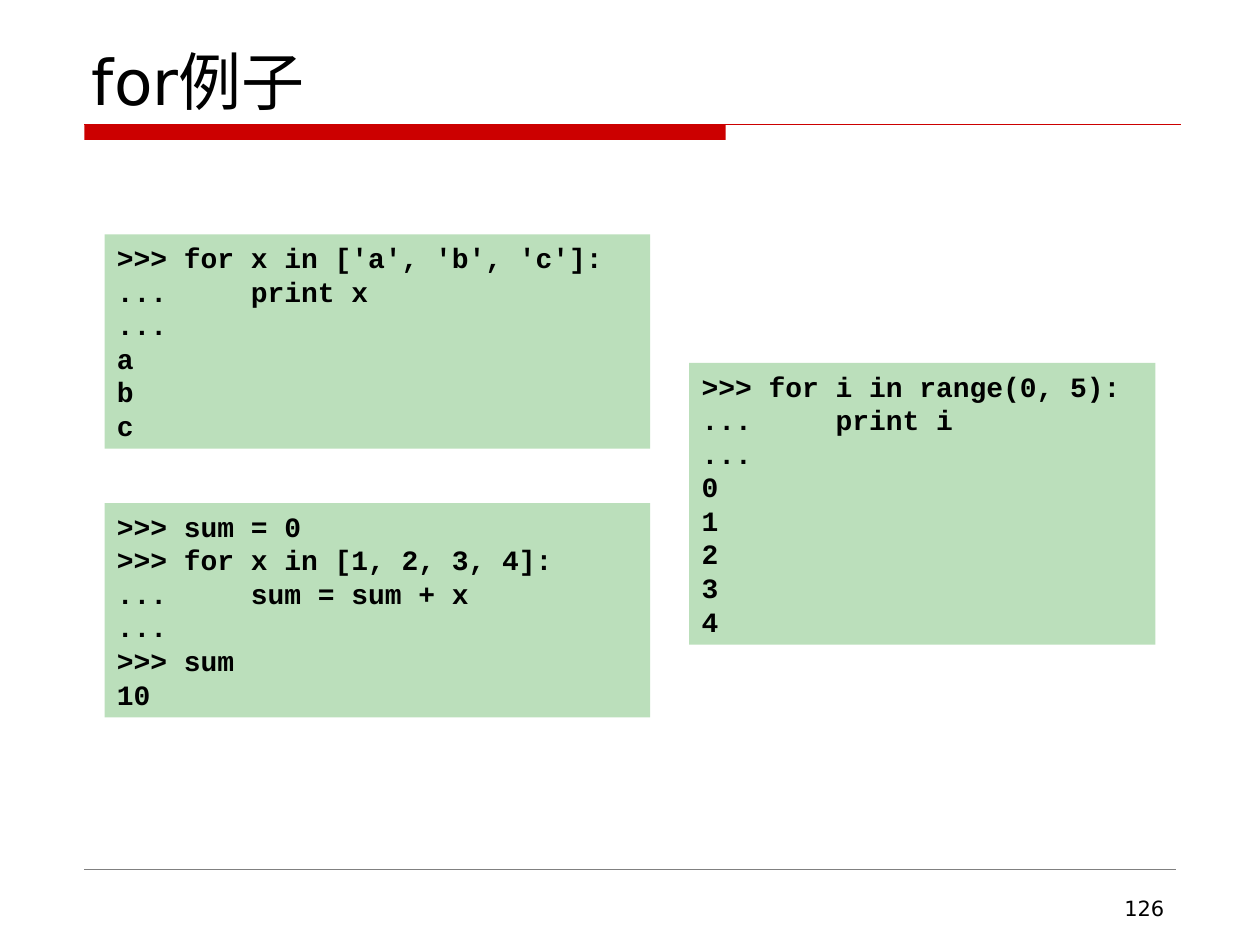
import pptx
import pptx.dml.color
import pptx.enum.shapes
import pptx.enum.text
import pptx.oxml
import pptx.oxml.ns
import pptx.util
from dataclasses import dataclass

Inches = pptx.util.Inches
Align = pptx.enum.text.PP_ALIGN
Anchor = pptx.enum.text.MSO_ANCHOR
AutoSize = pptx.enum.text.MSO_AUTO_SIZE


@dataclass(frozen=True)
class Theme:
    accent: str = "CC0000"
    panel: str = "BBDFBB"
    rule: str = "808080"
    text: str = "000000"
    body_font: str = "DejaVu Sans"
    code_font: str = "Courier New"
    title_size: int = 36
    code_size: int = 16
    number_size: int = 12


THEME = Theme()
TITLE = "for例子"
PAGE_NUMBER = "126"
LEFT_EXAMPLES = [
    [
        ">>> for x in ['a', 'b', 'c']:",
        "...     print x",
        "...",
        "a",
        "b",
        "c",
    ],
    [
        ">>> sum = 0",
        ">>> for x in [1, 2, 3, 4]:",
        "...     sum = sum + x",
        "...",
        ">>> sum",
        "10",
    ],
]
RIGHT_EXAMPLE = [
    ">>> for i in range(0, 5):",
    "...     print i",
    "...",
    *"01234",
]

LEFT_COLUMN = (0.83, 4.33)
RIGHT_COLUMN = (5.47, 3.7)
EXAMPLES_TOP = 1.86
EXAMPLES_GAP = 0.43
LINE_HEIGHT = 0.267
PADDING = 0.1
RULE_LEFT = 0.67
TITLE_RULE_TOP = 0.99


def color(value):
    return pptx.dml.color.RGBColor.from_string(value)


def write(tf, lines, *, size, font=THEME.body_font, bold=False,
          align=Align.LEFT, anchor=Anchor.TOP, fit=AutoSize.NONE):
    tf.word_wrap = True
    tf.auto_size = fit
    tf.vertical_anchor = anchor
    for i, line in enumerate(lines):
        p = tf.paragraphs[0] if i == 0 else tf.add_paragraph()
        p.alignment = align
        r = p.add_run()
        r.text = line
        r.font.name = font
        r.font.size = pptx.util.Pt(size)
        r.font.bold = bold
        r.font.color.rgb = color(THEME.text)


def add_box(s, x, y, w, h, fill):
    sp = s.shapes.add_shape(pptx.enum.shapes.MSO_SHAPE.RECTANGLE,
                            Inches(x), Inches(y), Inches(w), Inches(h))
    sp.shadow.inherit = False
    sp.fill.solid()
    sp.fill.fore_color.rgb = color(fill)
    sp.line.fill.background()
    return sp


def add_rule(s, right, y, line_color, width):
    line = s.shapes.add_connector(pptx.enum.shapes.MSO_CONNECTOR.STRAIGHT,
                                  Inches(RULE_LEFT), Inches(y),
                                  Inches(right), Inches(y))
    line.line.color.rgb = color(line_color)
    line.line.width = pptx.util.Pt(width)
    props = line._element.spPr
    props.append(pptx.oxml.parse_xml(
        f"<a:effectLst {pptx.oxml.ns.nsdecls('a')}/>"))


def example_height(lines):
    return len(lines) * LINE_HEIGHT + PADDING


def add_example(s, lines, column, y):
    x, w = column
    sp = add_box(s, x, y, w, example_height(lines), THEME.panel)
    write(sp.text_frame, lines, size=THEME.code_size, font=THEME.code_font,
          bold=True, fit=AutoSize.SHAPE_TO_FIT_TEXT)


def main():
    prs = pptx.Presentation()
    prs.slide_width, prs.slide_height = Inches(10), Inches(7.5)
    s = prs.slides.add_slide(prs.slide_layouts[5])

    title = s.shapes.title
    title.left, title.top = Inches(0.63), Inches(0.33)
    title.width, title.height = Inches(8.75), Inches(0.66)
    write(title.text_frame, [TITLE], size=THEME.title_size,
          anchor=Anchor.BOTTOM)

    add_box(s, RULE_LEFT, TITLE_RULE_TOP, 5.09, 0.12, THEME.accent)
    add_rule(s, 9.37, TITLE_RULE_TOP, THEME.accent, 0.75)
    add_rule(s, 9.33, 6.9, THEME.rule, 0.25)

    number = s.shapes.add_textbox(Inches(7.17), Inches(7.06),
                                  Inches(2.17), Inches(0.29))
    write(number.text_frame, [PAGE_NUMBER], size=THEME.number_size,
          align=Align.RIGHT)

    y = EXAMPLES_TOP
    for lines in LEFT_EXAMPLES:
        add_example(s, lines, LEFT_COLUMN, y)
        y += example_height(lines) + EXAMPLES_GAP
    add_example(s, RIGHT_EXAMPLE, RIGHT_COLUMN, 2.88)

    prs.save("out.pptx")


if __name__ == "__main__":
    main()
